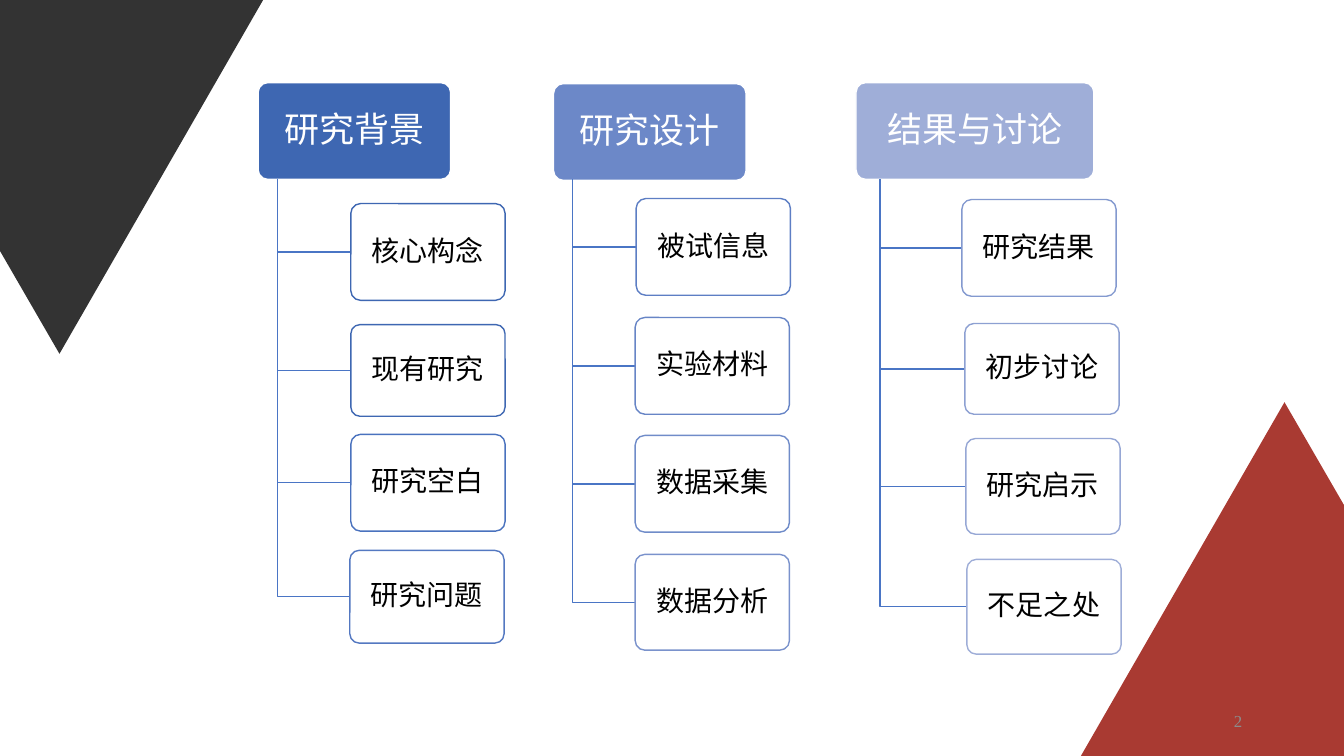
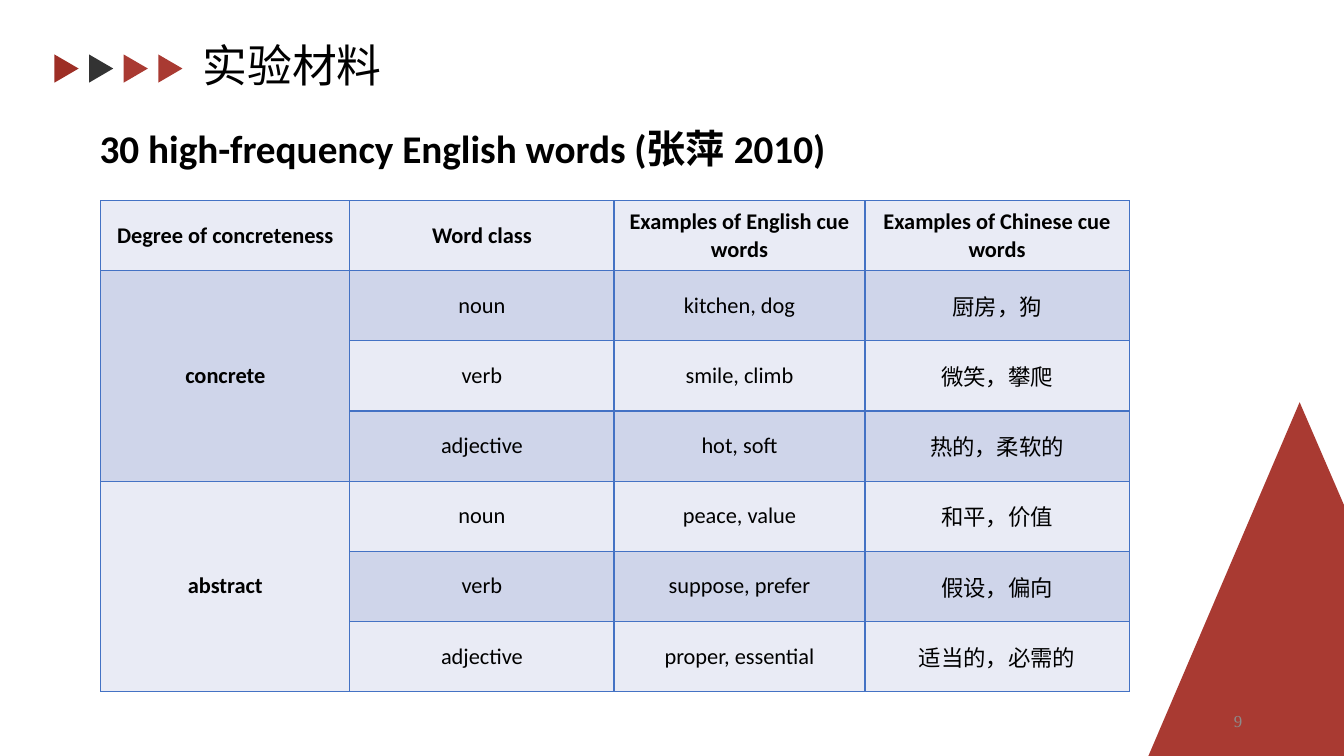
from lxml import etree
from pptx import Presentation
from pptx.dml.color import RGBColor
from pptx.enum.shapes import MSO_SHAPE
from pptx.enum.text import MSO_ANCHOR, PP_ALIGN
from pptx.oxml.ns import qn
from pptx.util import Inches, Pt

RED = RGBColor(0xA9, 0x3A, 0x32)
DARK_RED = RGBColor(0x9D, 0x2E, 0x25)
CHARCOAL = RGBColor(0x33, 0x33, 0x33)
GREY = RGBColor(0x8C, 0x8C, 0x8C)
BLACK = RGBColor(0, 0, 0)
WHITE = RGBColor(0xFF, 0xFF, 0xFF)
ELBOW_BLUE = RGBColor(0x4A, 0x75, 0xC5)
BORDER_BLUE = RGBColor(0x44, 0x72, 0xC4)
ROW_LIGHT = RGBColor(0xE9, 0xEB, 0xF5)
ROW_DARK = RGBColor(0xCF, 0xD5, 0xEA)

HAN, LATIN, NUMBER = "Noto Sans CJK SC", "Calibri", "Times New Roman"

WIDTH, HEIGHT = 13.33, 7.5
BRANCH_W = 1.53
TRUNK_TOP = 1.78

COLUMNS = [
    ("研究背景", 2.56, 0.82, 1.91, "3E67B2", 2.75, [
        ("核心构念", 3.48, 2.02, 0.96, "3E67B2"),
        ("现有研究", 3.48, 3.22, 0.91, "3E67B2"),
        ("研究空白", 3.48, 4.31, 0.96, "4A72BE"),
        ("研究问题", 3.47, 5.46, 0.92, "5478C1")]),
    ("研究设计", 5.49, 0.83, 1.91, "6C88C8", 5.68, [
        ("被试信息", 6.31, 1.97, 0.96, "5D7EC4"),
        ("实验材料", 6.3, 3.15, 0.96, "6785C6"),
        ("数据采集", 6.3, 4.32, 0.96, "708CC9"),
        ("数据分析", 6.3, 5.5, 0.95, "7A92CC")]),
    ("结果与讨论", 8.49, 0.82, 2.36, "9FAED8", 8.73, [
        ("研究结果", 9.54, 1.98, 0.96, "8399CF"),
        ("初步讨论", 9.57, 3.21, 0.9, "8DA0D2"),
        ("研究启示", 9.58, 4.35, 0.95, "96A7D5"),
        ("不足之处", 9.59, 5.55, 0.94, "9FAED8")]),
]

COL_WIDTHS = [2.47, 2.62, 2.49, 2.62]
CUE_WORDS = [
    ("Degree of concreteness", "Word class",
     "Examples of English cue words", "Examples of Chinese cue words"),
    ("concrete", "noun", "kitchen, dog", "厨房，狗"),
    ("", "verb", "smile, climb", "微笑，攀爬"),
    ("", "adjective", "hot, soft", "热的，柔软的"),
    ("abstract", "noun", "peace, value", "和平，价值"),
    ("", "verb", "suppose, prefer", "假设，偏向"),
    ("", "adjective", "proper, essential", "适当的，必需的"),
]


def style_text(tf, text, size, color, font=HAN, bold=False, align=PP_ALIGN.LEFT):
    p = tf.paragraphs[0]
    p.text = text
    p.alignment = align
    p.font.size = Pt(size)
    p.font.bold = bold
    p.font.name = font
    p.font.color.rgb = color
    props = p._p.pPr.find(qn("a:defRPr"))
    etree.SubElement(props, qn("a:ea")).set("typeface", HAN)
    return p


def add_text(s, box, text, size, color, anchor=MSO_ANCHOR.MIDDLE, **kw):
    tf = s.shapes.add_textbox(*map(Inches, box)).text_frame
    tf.word_wrap = True
    tf.vertical_anchor = anchor
    return style_text(tf, text, size, color, **kw)


def add_outline(s, points, fill=None, line=None):
    pts = [(Inches(x), Inches(y)) for x, y in points]
    fb = s.shapes.build_freeform(*pts[0])
    fb.add_line_segments(pts[1:], close=fill is not None)
    sp = fb.convert_to_shape()
    sp.shadow.inherit = False
    if fill is None:
        sp.fill.background()
        sp.line.color.rgb = line
        sp.line.width = Pt(1)
    else:
        sp.fill.solid()
        sp.fill.fore_color.rgb = fill
        sp.line.fill.background()


def add_corner_peak(s, foot, apex):
    add_outline(s, [(apex, 3.99), (WIDTH, 5.01), (WIDTH, HEIGHT), (foot, HEIGHT)], fill=RED)


def add_page_number(s, number):
    add_text(s, (9.42, 6.95, 3, 0.4), str(number), 12, GREY,
             font=NUMBER, align=PP_ALIGN.RIGHT)


def add_card(s, box, text, size, fill, line, color):
    sp = s.shapes.add_shape(MSO_SHAPE.ROUNDED_RECTANGLE, *map(Inches, box))
    sp.adjustments[0] = 0.1
    sp.shadow.inherit = False
    sp.fill.solid()
    sp.fill.fore_color.rgb = fill
    sp.line.color.rgb = line
    sp.line.width = Pt(1)
    tf = sp.text_frame
    tf.margin_left = tf.margin_right = Inches(0.05)
    tf.margin_top = tf.margin_bottom = Inches(0.03)
    tf.vertical_anchor = MSO_ANCHOR.MIDDLE
    style_text(tf, text, size, color, align=PP_ALIGN.CENTER).line_spacing = 0.9


def add_column(s, head, left, top, width, fill, trunk, branches):
    add_card(s, (left, top, width, 0.96), head, 25, RGBColor.from_string(fill), WHITE, WHITE)
    for text, x, y, h, line in branches:
        mid = y + h / 2
        add_outline(s, [(trunk, TRUNK_TOP), (trunk, mid), (x, mid)], line=ELBOW_BLUE)
        add_card(s, (x, y, BRANCH_W, h), text, 20, WHITE, RGBColor.from_string(line), BLACK)


def add_arrow_row(s):
    for i, color in enumerate((DARK_RED, CHARCOAL, RED, RED)):
        sp = s.shapes.add_shape(MSO_SHAPE.ISOSCELES_TRIANGLE, Inches(0.52 + 1.03 * i / 3),
                                Inches(0.56), Inches(0.28), Inches(0.24))
        sp.rotation = 90
        sp.shadow.inherit = False
        sp.fill.solid()
        sp.fill.fore_color.rgb = color
        sp.line.fill.background()


def set_borders(cell):
    props = cell._tc.get_or_add_tcPr()
    for side in ("a:lnL", "a:lnR", "a:lnT", "a:lnB"):
        ln = etree.SubElement(props, qn(side), w=str(Pt(1)))
        fill = etree.SubElement(ln, qn("a:solidFill"))
        etree.SubElement(fill, qn("a:srgbClr"), val=str(BORDER_BLUE))


def add_word_table(s):
    rows = len(CUE_WORDS)
    table = s.shapes.add_table(rows, len(COL_WIDTHS), Inches(1), Inches(1.99),
                               Inches(sum(COL_WIDTHS)), Inches(4.87)).table
    table.first_row = table.horz_banding = False
    for col, width in zip(table.columns, COL_WIDTHS):
        col.width = Inches(width)
    for r, words in enumerate(CUE_WORDS):
        table.rows[r].height = Inches(4.87 / rows)
        for c, word in enumerate(words):
            cell = table.cell(r, c)
            set_borders(cell)
            cell.fill.solid()
            cell.fill.fore_color.rgb = ROW_DARK if r % 2 else ROW_LIGHT
            cell.margin_left = cell.margin_right = Inches(0.07)
            cell.margin_top = cell.margin_bottom = 0
            cell.vertical_anchor = MSO_ANCHOR.MIDDLE
            if word:
                style_text(cell.text_frame, word, 16, BLACK, font=LATIN,
                           bold=r == 0 or c == 0, align=PP_ALIGN.CENTER)
    for first in (1, 4):
        table.cell(first, 0).merge(table.cell(first + 2, 0))


def build_outline_slide(s):
    add_corner_peak(s, 10.72, 12.74)
    add_page_number(s, 2)
    add_outline(s, [(0.59, 3.51), (0, 2.49), (0, 0), (2.61, 0)], fill=CHARCOAL)
    for column in COLUMNS:
        add_column(s, *column)


def build_materials_slide(s):
    add_arrow_row(s)
    add_corner_peak(s, 11.39, 12.89)
    add_text(s, (1.91, 0.36, 2.57, 0.63), "实验材料", 32, BLACK).line_spacing = 0.9
    p = add_text(s, (0.89, 1.18, 8.81, 0.63), "30 high-frequency English words (张萍 2010)",
                 28, BLACK, anchor=MSO_ANCHOR.TOP, font=LATIN, bold=True)
    p.space_after = Pt(6)
    add_page_number(s, 9)
    add_word_table(s)


def main():
    prs = Presentation()
    prs.slide_width, prs.slide_height = Inches(WIDTH), Inches(HEIGHT)
    for build in (build_outline_slide, build_materials_slide):
        build(prs.slides.add_slide(prs.slide_layouts[6]))
    prs.save("out.pptx")


if __name__ == "__main__":
    main()
